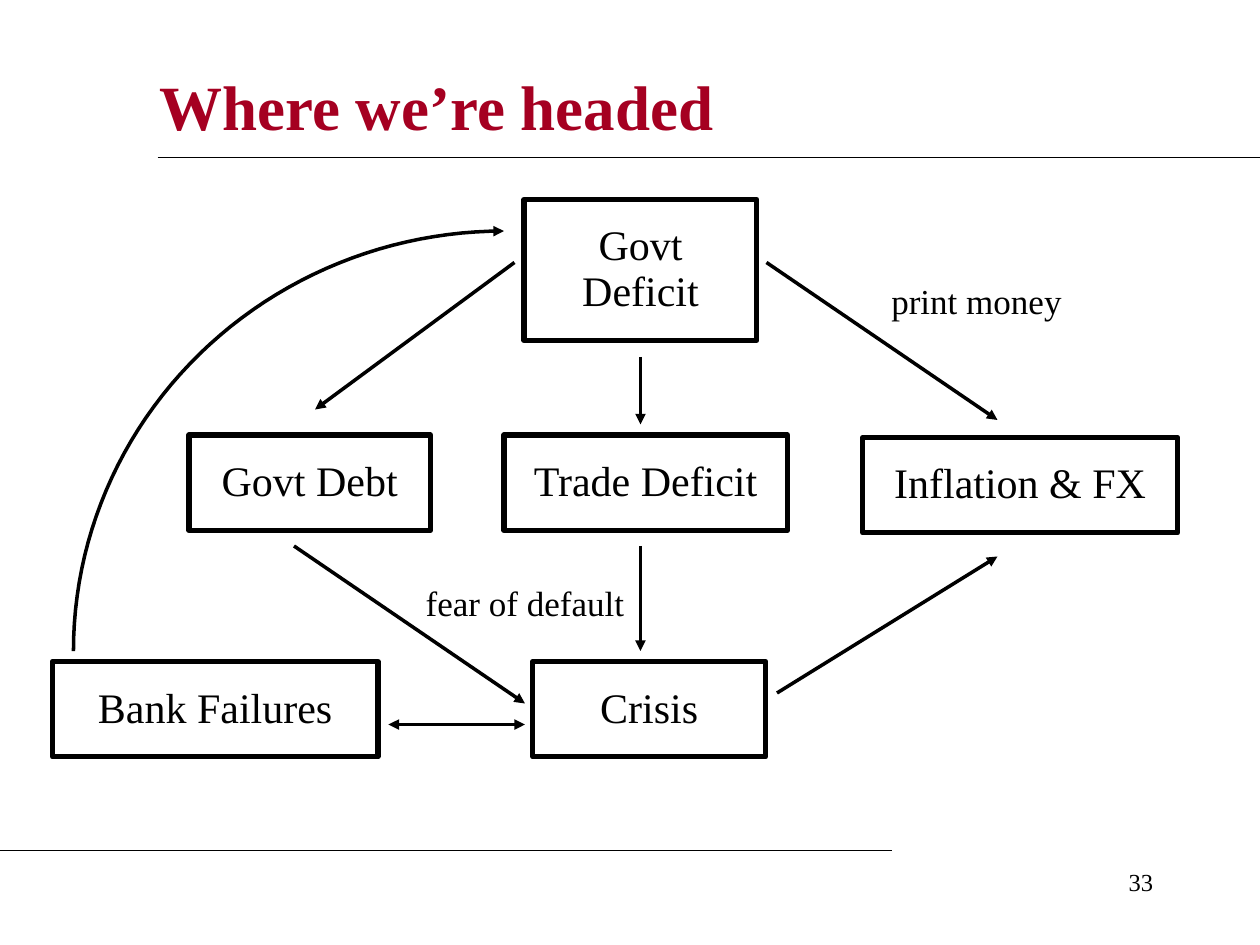
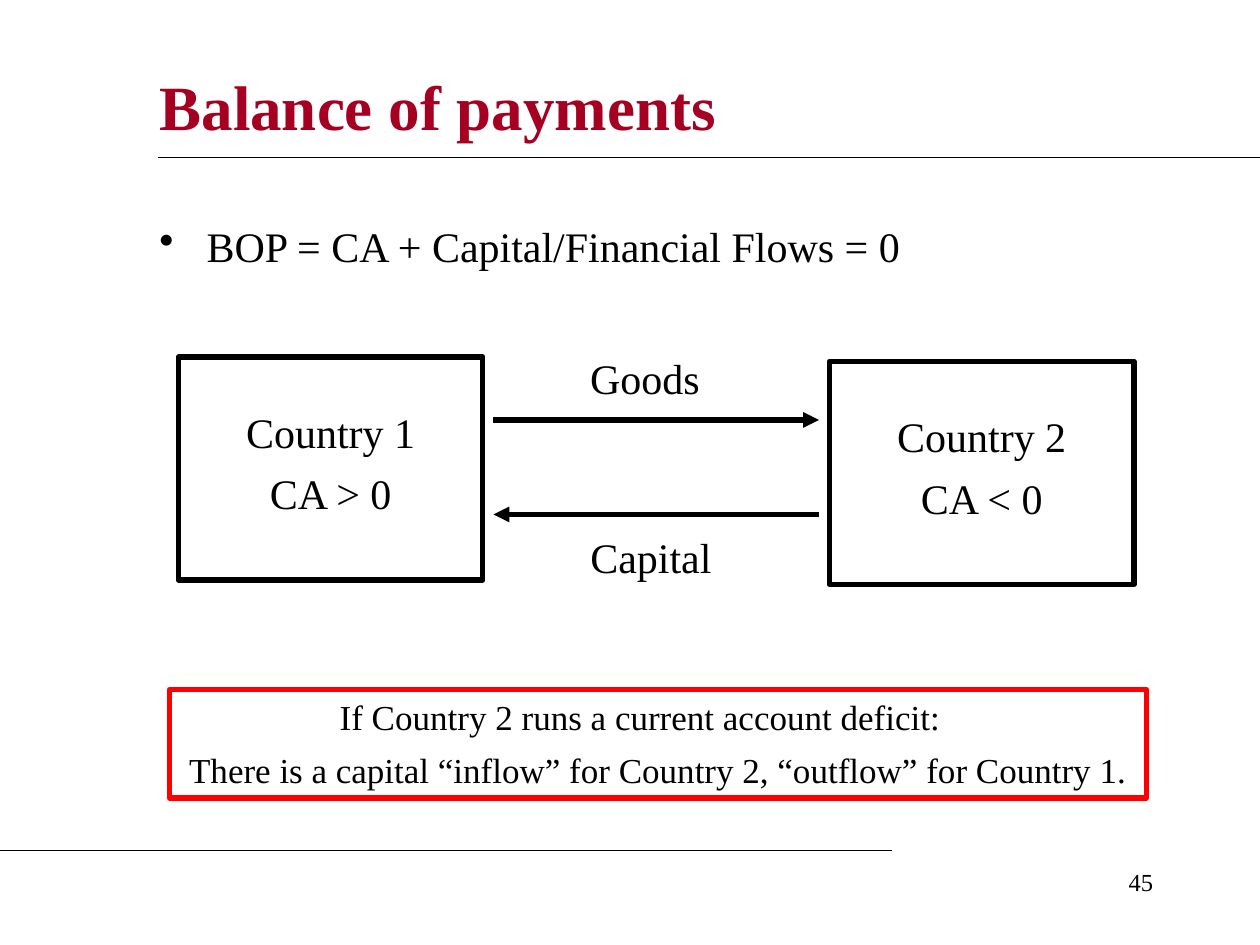
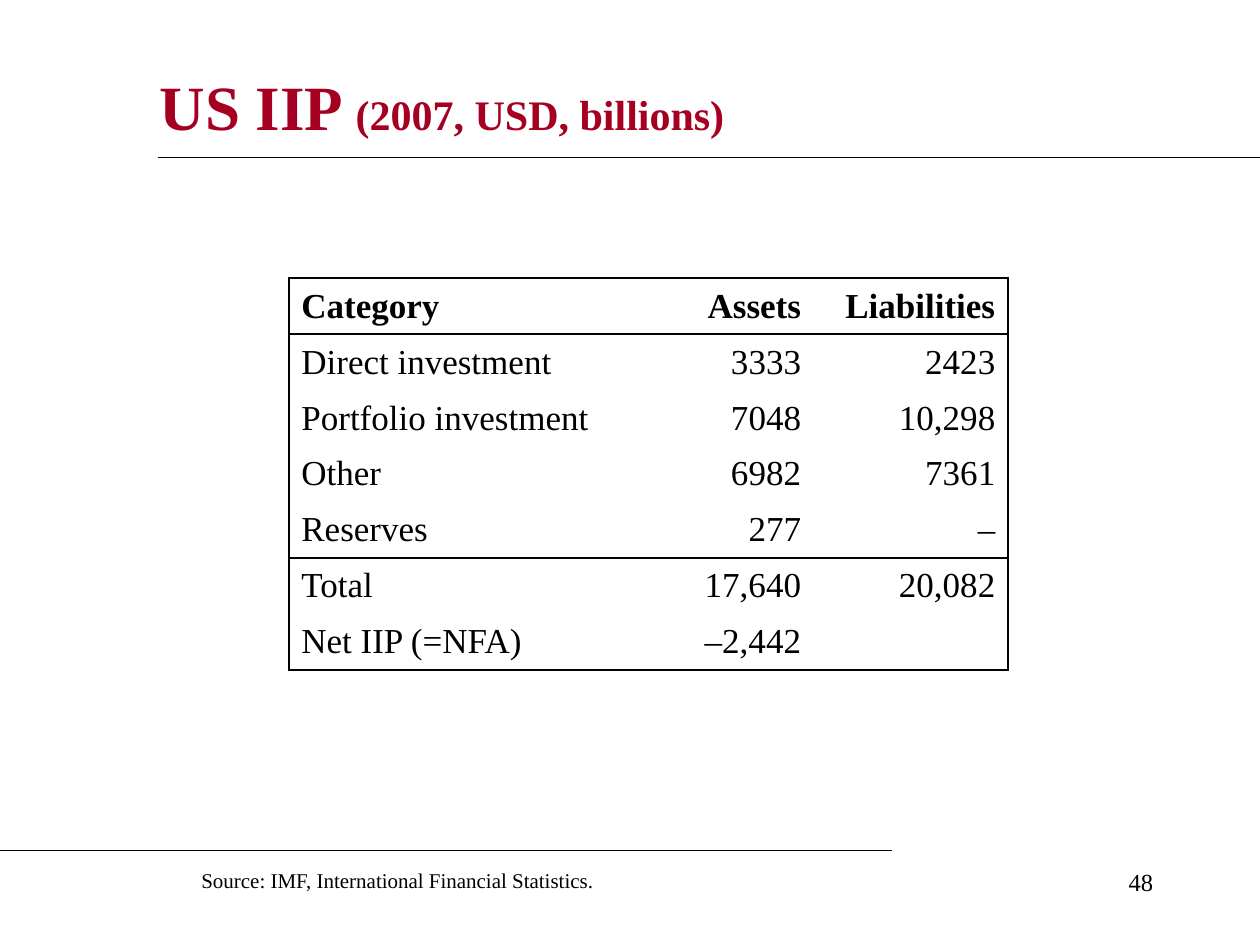
import math
from dataclasses import dataclass

from lxml import etree
from pptx import Presentation
from pptx.dml.color import RGBColor
from pptx.enum import shapes, text
from pptx.oxml import ns
from pptx.util import Pt


@dataclass(frozen=True)
class Theme:
    font: str = "Times New Roman"
    ink: str = "000000"
    title_ink: str = "A50021"
    warning: str = "FF0000"
    title: int = 36
    body: int = 24
    label: int = 20
    number: int = 14
    note: int = 12
    rule: float = 0.75
    grid: float = 1.08
    arrow: float = 2
    frame: float = 3


T = Theme()
ALIGN = {"l": text.PP_ALIGN.LEFT, "c": text.PP_ALIGN.CENTER, "r": text.PP_ALIGN.RIGHT}

TITLE_LEFT, TITLE_MIDDLE = 84, 60
RULES = [((90, 90), (720, 90)), ((0, 486), (510, 486))]
NUMBER_BOX = (516, 492, 150, 36)

HEADED = {"title": "Where we’re headed", "size": (582, 60), "number": "33"}
FLOW_BOXES = [
    ("Govt Deficit", (299.5, 114, 133, 80.5)),
    ("Govt Debt", (108, 248.5, 138, 54.5)),
    ("Trade Deficit", (288, 248.5, 162, 54.5)),
    ("Inflation & FX", (493, 250, 180, 54.5)),
    ("Bank Failures", (30, 378, 186, 54.5)),
    ("Crisis", (304.5, 378, 133, 54.5)),
]
FLOW_ARROWS = [
    ((438, 150), (570, 240)),
    ((294, 150), (180, 234)),
    ((366, 204), (366, 242.5)),
    ((366, 312), (366, 372)),
    ((168, 312), (300, 402)),
    ((444, 396), (570, 318)),
]
BANK_CRISIS_LINK = ((222, 414), (300, 414))
FLOW_LABELS = [
    ("fear of default", (222, 329, 156, 32)),
    ("print money", (480, 156, 156, 32)),
]
FEEDBACK_START, FEEDBACK_END, FEEDBACK_STEPS = (42, 372), (288, 132), 48

BALANCE = {"title": "Balance of payments", "size": (636, 72), "number": "45"}
IDENTITY = ("BOP = CA + Capital/Financial Flows = 0", (84, 125.5, 570, 42.5))
COUNTRIES = [
    (["Country 1", "CA > 0"], (102, 204, 174, 127.5)),
    (["Country 2", "CA < 0"], (474, 206.5, 174, 127.5)),
]
EXCHANGES = [
    ("Goods", (323, 198, 91, 36), ((282, 240), (468, 240))),
    ("Capital", (300, 300, 144, 36), ((468, 294), (282, 294))),
]
CONCLUSION = [
    "If Country 2 runs a current account deficit:",
    "There is a capital “inflow” for Country 2, “outflow” for Country 1.",
]
CONCLUSION_BOX = (97, 394, 558, 62)
CONCLUSION_INDENT = 90

POSITION = {
    "title": [("US IIP ", T.title), ("(2007, USD, billions)", T.body)],
    "size": (612, 84),
    "number": "48",
}
IIP_ROWS = [
    ("Category", "Assets", "Liabilities"),
    ("Direct investment", "3333", "2423"),
    ("Portfolio investment", "7048", "10,298"),
    ("Other", "6982", "7361"),
    ("Reserves", "277", "–"),
    ("Total", "17,640", "20,082"),
    ("Net IIP (=NFA)", "–2,442", ""),
]
IIP_AT, IIP_COLUMNS, IIP_ROW_HEIGHT = (165, 159), (222, 78, 111), 32
RULED_BELOW = {0, 4, 6}
SOURCE = ("Source: IMF, International Financial Statistics.", (108, 492, 258, 22))


def pts(values):
    return [Pt(v) for v in values]


def write(tf, paragraphs, size=T.body, color=T.ink, bold=False, align="l",
          spacing=None, before=0, inset=None, bullet_indent=0):
    tf.word_wrap = True
    if inset is not None:
        tf.margin_left = tf.margin_right = tf.margin_top = tf.margin_bottom = Pt(inset)
    if isinstance(paragraphs, str):
        paragraphs = [paragraphs]
    for i, runs in enumerate(paragraphs):
        p = tf.add_paragraph() if i else tf.paragraphs[0]
        p.alignment = ALIGN[align]
        p.space_before = Pt(before if i else 0)
        if spacing:
            p.line_spacing = spacing
        if bullet_indent:
            pPr = p._p.get_or_add_pPr()
            pPr.set("marL", str(Pt(bullet_indent)))
            pPr.set("indent", str(-Pt(bullet_indent)))
            etree.SubElement(pPr, ns.qn("a:buChar"), char="•")
        for words, run_size in [(runs, size)] if isinstance(runs, str) else runs:
            r = p.add_run()
            r.text = words
            f = r.font
            f.name, f.size, f.bold = T.font, Pt(run_size), bold
            f.color.rgb = RGBColor.from_string(color)


def add_label(s, words, box, **fmt):
    write(s.shapes.add_textbox(*pts(box)).text_frame, words, **fmt)


def style_line(sp, width, color=T.ink, ends=()):
    sp.line.width = Pt(width)
    sp.line.color.rgb = RGBColor.from_string(color)
    for end in ends:
        etree.SubElement(sp.line._get_or_add_ln(), ns.qn("a:" + end), type="triangle")


def add_box(s, words, box, color=T.ink, **fmt):
    sp = s.shapes.add_shape(shapes.MSO_SHAPE.RECTANGLE, *pts(box))
    sp.shadow.inherit = False
    sp.fill.background()
    style_line(sp, T.frame, color)
    sp.text_frame.vertical_anchor = text.MSO_ANCHOR.TOP
    write(sp.text_frame, words, **fmt)
    return sp


def add_line(s, start, end, width, ends=()):
    c = s.shapes.add_connector(shapes.MSO_CONNECTOR.STRAIGHT, *pts(start + end))
    style_line(c, width, ends=ends)
    etree.SubElement(c._element.spPr, ns.qn("a:effectLst"))


def add_feedback_curve(s):
    (x0, y0), (x1, y1) = FEEDBACK_START, FEEDBACK_END
    angles = [math.pi / 2 * i / FEEDBACK_STEPS for i in range(FEEDBACK_STEPS + 1)]
    points = [pts((x1 - (x1 - x0) * math.cos(a), y0 - (y0 - y1) * math.sin(a)))
              for a in angles]
    builder = s.shapes.build_freeform(*points[0])
    builder.add_line_segments(points[1:], close=False)
    sp = builder.convert_to_shape()
    sp.shadow.inherit = False
    sp.fill.background()
    style_line(sp, T.arrow, ends=["tailEnd"])


def add_slide(prs, title, size, number):
    s = prs.slides.add_slide(prs.slide_layouts[5])
    sp = s.shapes.title
    width, height = size
    sp.left, sp.top, sp.width, sp.height = pts(
        (TITLE_LEFT, TITLE_MIDDLE - height / 2, width, height))
    sp.text_frame.vertical_anchor = text.MSO_ANCHOR.MIDDLE
    write(sp.text_frame, [title], size=T.title, color=T.title_ink, bold=True)
    for start, end in RULES:
        add_line(s, start, end, T.rule)
    add_label(s, number, NUMBER_BOX, size=T.number, align="r")
    return s


def set_borders(cell, sides):
    tcPr = cell._tc.get_or_add_tcPr()
    for side in "LRTB":
        ln = etree.SubElement(tcPr, ns.qn("a:ln" + side), w=str(Pt(T.grid)))
        if side in sides:
            fill = etree.SubElement(ln, ns.qn("a:solidFill"))
            etree.SubElement(fill, ns.qn("a:srgbClr"), val=T.ink)
        else:
            etree.SubElement(ln, ns.qn("a:noFill"))


def add_iip_table(s):
    rows, cols = len(IIP_ROWS), len(IIP_COLUMNS)
    box = (*IIP_AT, sum(IIP_COLUMNS), rows * IIP_ROW_HEIGHT)
    table = s.shapes.add_table(rows, cols, *pts(box)).table
    table.first_row = table.horz_banding = False
    for column, width in zip(table.columns, IIP_COLUMNS):
        column.width = Pt(width)
    for i, values in enumerate(IIP_ROWS):
        table.rows[i].height = Pt(IIP_ROW_HEIGHT)
        for j, value in enumerate(values):
            cell = table.cell(i, j)
            cell.vertical_anchor = text.MSO_ANCHOR.MIDDLE
            sides = {"L": j == 0, "R": j == cols - 1,
                     "T": i == 0 or i - 1 in RULED_BELOW, "B": i in RULED_BELOW}
            set_borders(cell, [side for side, shown in sides.items() if shown])
            cell.fill.background()
            write(cell.text_frame, value, size=T.label, bold=i == 0,
                  align="r" if j else "l")


def build_headed(prs):
    s = add_slide(prs, **HEADED)
    for words, box in FLOW_BOXES:
        add_box(s, words, box, align="c", spacing=0.9, inset=14.4)
    for start, end in FLOW_ARROWS:
        add_line(s, start, end, T.arrow, ["tailEnd"])
    add_line(s, *BANK_CRISIS_LINK, T.arrow, ["headEnd", "tailEnd"])
    for words, box in FLOW_LABELS:
        add_label(s, words, box, size=T.label, align="c")
    add_feedback_curve(s)


def build_balance(prs):
    s = add_slide(prs, **BALANCE)
    add_label(s, *IDENTITY, spacing=0.9, bullet_indent=27)
    for words, box in COUNTRIES:
        add_box(s, words, box, align="c", spacing=0.7, before=15, inset=36)
    for words, box, (start, end) in EXCHANGES:
        add_label(s, words, box, align="c")
        add_line(s, start, end, T.frame, ["tailEnd"])
    sp = add_box(s, CONCLUSION, CONCLUSION_BOX, color=T.warning, size=T.label,
                 align="c", before=6.2)
    condition = sp.text_frame.paragraphs[0]
    condition.alignment = ALIGN["l"]
    condition._p.get_or_add_pPr().set("marL", str(Pt(CONCLUSION_INDENT)))


def build_position(prs):
    s = add_slide(prs, **POSITION)
    add_iip_table(s)
    add_label(s, *SOURCE, size=T.note)


def main():
    prs = Presentation()
    prs.slide_width, prs.slide_height = Pt(720), Pt(540)
    build_headed(prs)
    build_balance(prs)
    build_position(prs)
    prs.save("out.pptx")


if __name__ == "__main__":
    main()
